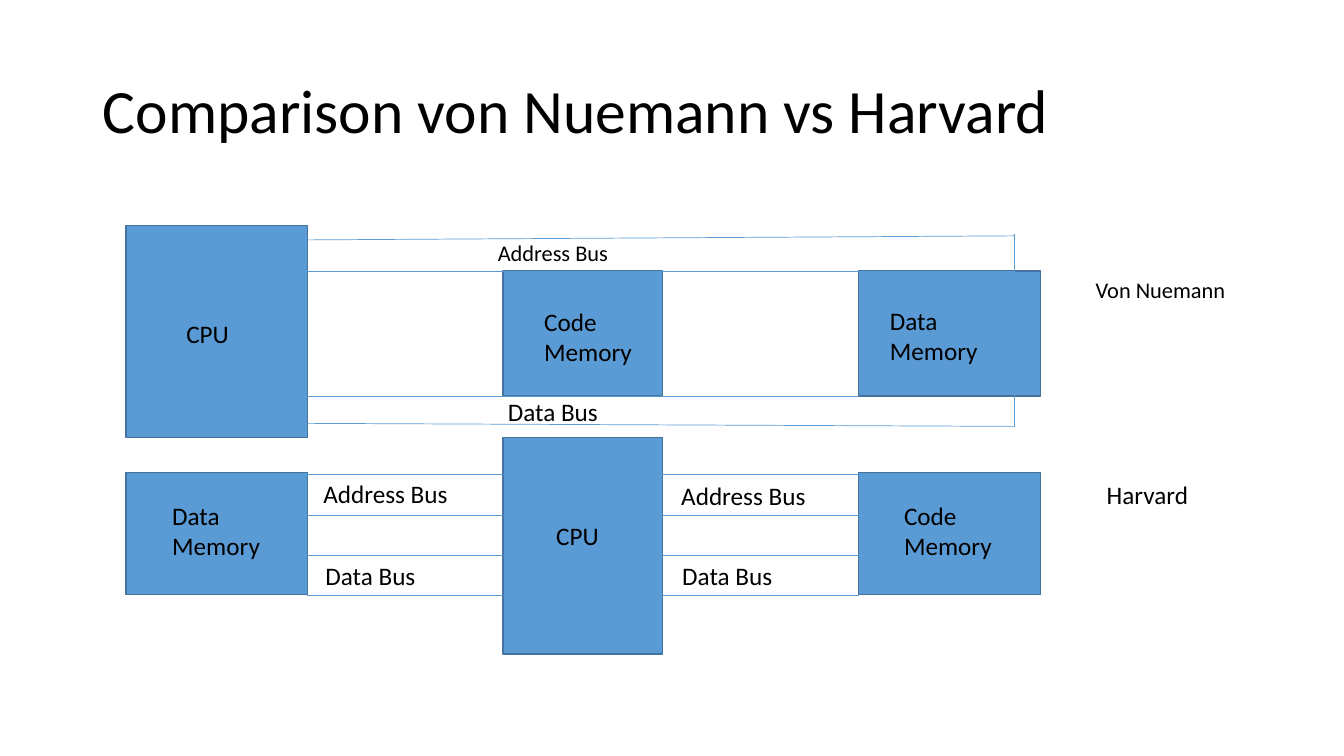
from typing import NamedTuple

from lxml import etree
from pptx import Presentation, util as u
from pptx.dml.color import RGBColor
from pptx.enum import shapes, text
from pptx.oxml import ns

BLUE = RGBColor(0x5B, 0x9B, 0xD5)
EDGE = RGBColor(0x43, 0x73, 0x9E)
BLACK = RGBColor(0, 0, 0)
FONT = "Calibri"

# The slide is a grid of square cells, ten to the inch
COLS, ROWS = 133.33, 75


def cell(n: float) -> u.Length:
    return u.Inches(n / 10)


class Span(NamedTuple):
    start: float
    size: float

    @property
    def end(self) -> float:
        return self.start + self.size


class Box(NamedTuple):
    col: Span
    row: Span


class Label(NamedTuple):
    words: str
    x: float
    y: float
    w: float
    h: float = 4
    size: int = 18
    wrap: bool = False


class Wire(NamedTuple):
    x1: float
    y1: float
    x2: float
    y2: float


def style(frame, size: int) -> None:
    for para in frame.paragraphs:
        for run in para.runs:
            font = run.font
            font.name, font.size = FONT, u.Pt(size)
            font.color.rgb = BLACK


def draw_box(slide, box: Box) -> None:
    (x, w), (y, h) = box
    shape = slide.shapes.add_shape(shapes.MSO_SHAPE.RECTANGLE,
                                   cell(x), cell(y), cell(w), cell(h))
    shape.shadow.inherit = False
    shape.fill.solid()
    shape.fill.fore_color.rgb = BLUE
    shape.line.color.rgb = EDGE
    shape.line.width = u.Pt(1)


def draw_wire(slide, wire: Wire) -> None:
    line = slide.shapes.add_connector(shapes.MSO_CONNECTOR.STRAIGHT,
                                      *(cell(n) for n in wire))
    line.line.color.rgb = BLUE
    line.line.width = u.Pt(0.5)
    etree.SubElement(line._element.spPr, ns.qn("a:effectLst"))


def draw_label(slide, label: Label) -> None:
    area = slide.shapes.add_textbox(cell(label.x), cell(label.y),
                                    cell(label.w), cell(label.h))
    frame = area.text_frame
    frame.text = label.words
    frame.word_wrap = label.wrap
    frame.auto_size = text.MSO_AUTO_SIZE.SHAPE_TO_FIT_TEXT
    style(frame, label.size)


# Shared columns and rows of the two diagrams
LEFT, MID, RIGHT = Span(12.5, 18), Span(49.9, 15.8), Span(85.2, 18)
UPPER, LOWER = Span(26.9, 12.4), Span(46.9, 12.1)
TURN = 100.6  # where the outer bus lines turn to the data memory

BOXES = [
    Box(LEFT, Span(22.4, 21)), Box(MID, UPPER), Box(RIGHT, UPPER),
    Box(LEFT, LOWER), Box(MID, Span(43.4, 21.5)), Box(RIGHT, LOWER),
]

# Von Neumann: one pair of buses shared by both memories
WIRES = [
    Wire(LEFT.end, 23.8, TURN, 23.4),
    Wire(TURN, 23.2, TURN, 28.8),
    Wire(LEFT.end, UPPER.start, TURN, UPPER.start),
    Wire(LEFT.end, 42, TURN, 42.3),
    Wire(TURN, 42.4, TURN, 38.8),
    Wire(LEFT.end, UPPER.end, RIGHT.start, UPPER.end),
]
# Harvard: four evenly spaced lines on each side of the CPU
WIRES += [Wire(a.end, 47.1 + 4 * i, b.start, 47.1 + 4 * i)
          for a, b in ((LEFT, MID), (MID, RIGHT)) for i in range(4)]

LABELS = [
    Label("Von Nuemann", 107.7, 26.9, 15, 3.7, 16),
    Label("Harvard", 108.8, 47.1, 10.2),
    Label("Address Bus", 48.4, 23.2, 13.1, 3.7, 16),
    Label("Data Bus", 49.4, 38.8, 12.3, wrap=True),
    Label("CPU", 17.5, 31.1, 8.2, wrap=True),
    Label("Code Memory", 53, 29.9, 11.3, 7.1, wrap=True),
    Label("Data\nMemory", 87.3, 29.8, 13.2, 7.1, wrap=True),
    Label("Data\nMemory", 16.1, 49.1, 12.8, 7.1, wrap=True),
    Label("CPU", 54.2, 51.1, 7.3, wrap=True),
    Label("Code Memory", 88.7, 49.1, 11.1, 7.1, wrap=True),
    Label("Address Bus", 31.1, 47, 14.5),
    Label("Address Bus", 66.6, 47.2, 14.5),
    Label("Data Bus", 31.3, 55.1, 11),
    Label("Data Bus", 66.7, 55.1, 11),
]

deck = Presentation()
deck.slide_width, deck.slide_height = cell(COLS), cell(ROWS)
page = deck.slides.add_slide(deck.slide_layouts[5])

# Title
title = page.shapes.title
title.left, title.top = cell(9.2), cell(4)
title.width, title.height = cell(115), cell(14.5)
head = title.text_frame
head.text = "Comparison von Nuemann vs Harvard"
head.vertical_anchor = text.MSO_ANCHOR.MIDDLE
head.paragraphs[0].alignment = text.PP_ALIGN.LEFT
head.paragraphs[0].line_spacing = 0.9
style(head, 44)

# Diagrams
for box in BOXES:
    draw_box(page, box)
for wire in WIRES:
    draw_wire(page, wire)
for label in LABELS:
    draw_label(page, label)

deck.save("out.pptx")
